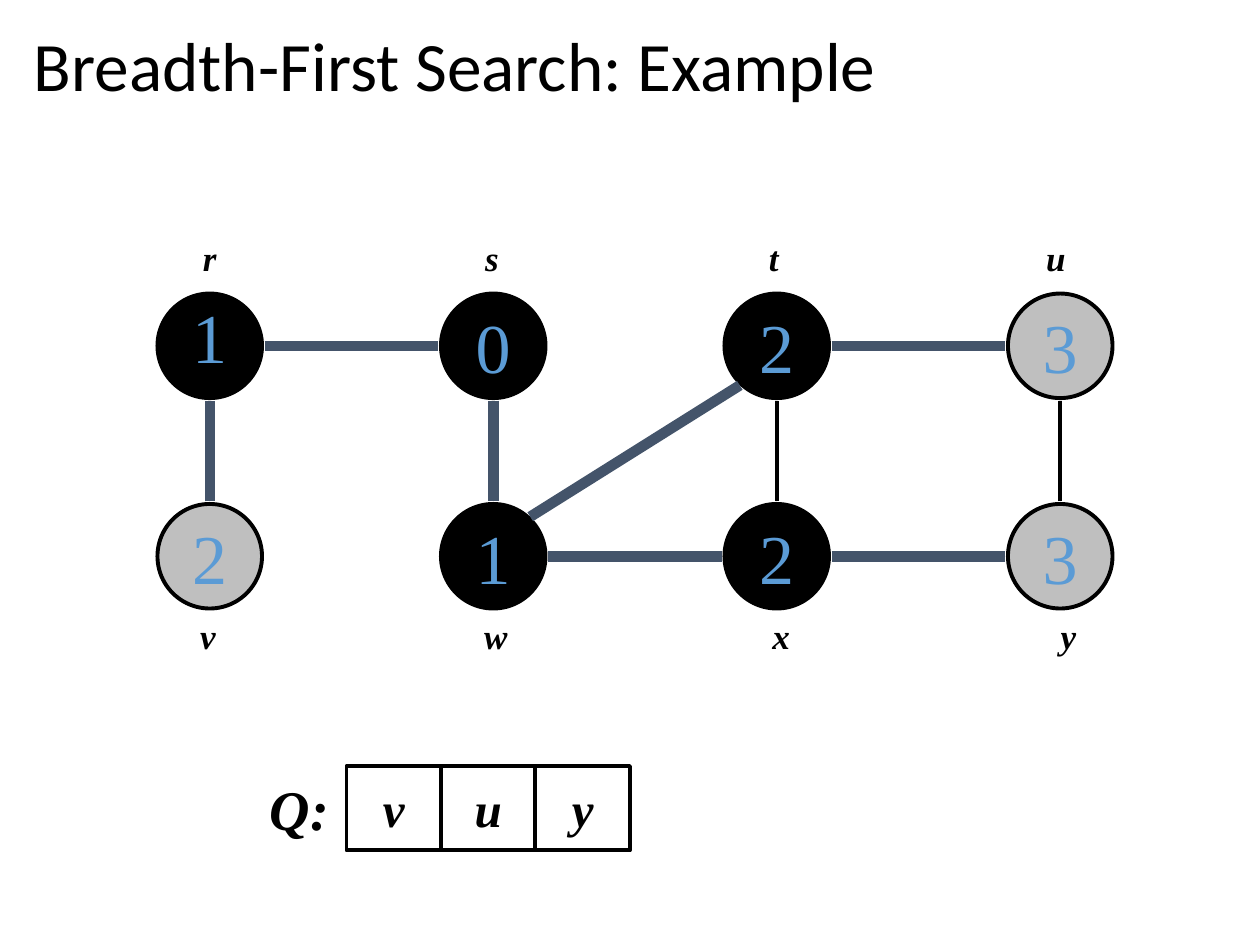
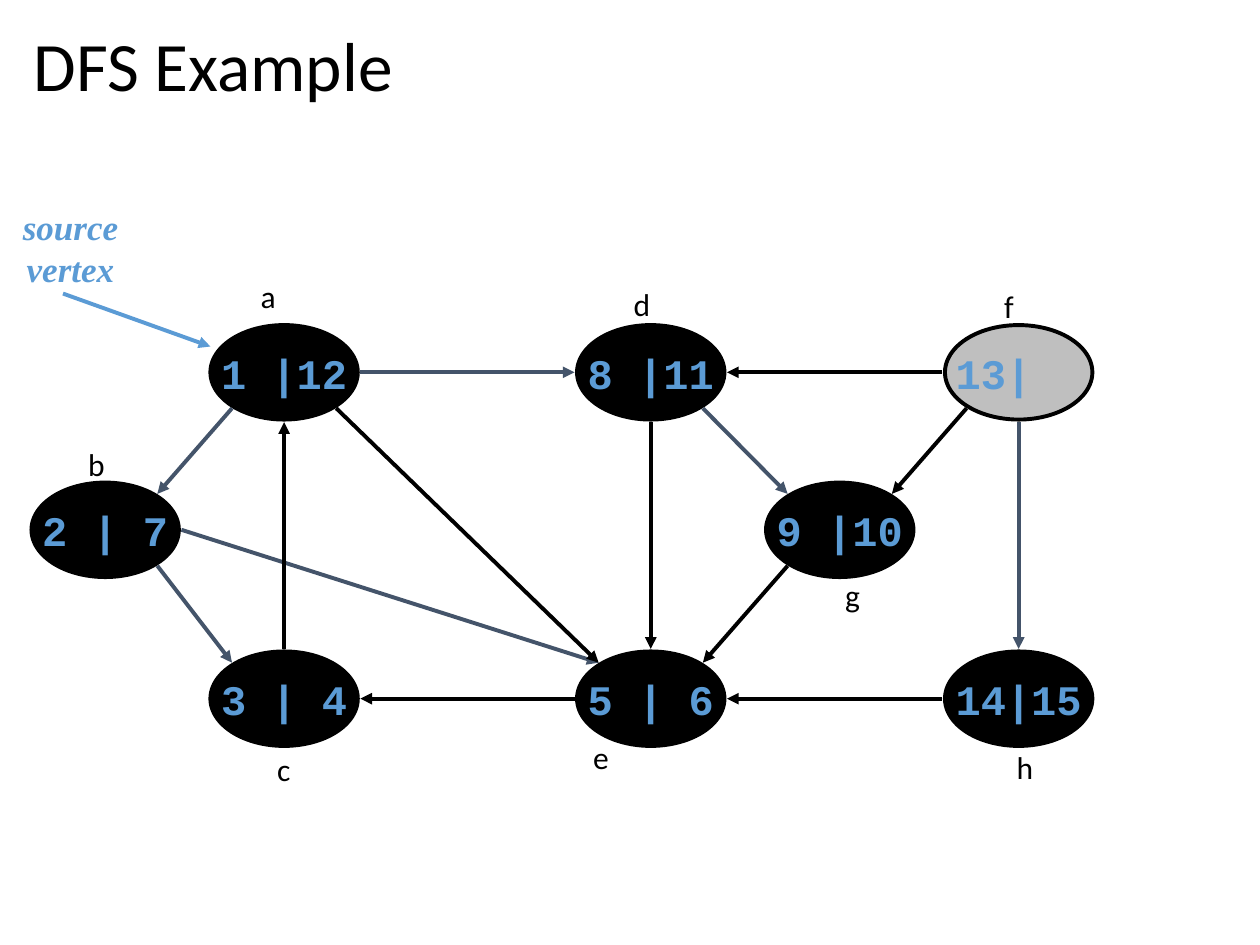
"""Build two graph search slides: a breadth-first and a depth-first example."""
from dataclasses import dataclass
from math import sqrt

from lxml import etree
from pptx import Presentation
from pptx import util as u
from pptx.dml.color import RGBColor
from pptx.enum import shapes, text
from pptx.oxml.ns import qn


@dataclass(frozen=True)
class Theme:
    ink: str = "000000"
    queued: str = "BFBFBF"
    accent: str = "5B9BD5"
    tree: str = "44546A"
    sans: str = "Calibri"
    serif: str = "Times New Roman"
    mono: str = "Courier New"
    title: float = 39.6
    distance: float = 40
    times: float = 24
    queue_name: float = 32
    queue_item: float = 28
    vertex: float = 20
    letter: float = 18
    thin: float = 2.25
    thick: float = 6


THEME = Theme()

BFS_TITLE = "Breadth-First Search: Example"
BFS_SIZE = (0.83, 0.83)
BFS_COLUMNS = (1.25, 3.5, 5.75, 8)
BFS_ROWS = (2.33, 4)
BFS_LABEL_TOPS = (1.83, 4.83)
# name: (column, row, distance, fill, label left, label width)
BFS_NODES = {
    "r": (0, 0, "1", THEME.ink, 1.51, 0.31),
    "v": (0, 1, "2", THEME.queued, 1.49, 0.32),
    "s": (1, 0, "0", THEME.ink, 3.75, 0.31),
    "w": (1, 1, "1", THEME.ink, 3.74, 0.39),
    "t": (2, 0, "2", THEME.ink, 6, 0.28),
    "x": (2, 1, "2", THEME.ink, 6.03, 0.34),
    "u": (3, 0, "3", THEME.queued, 8.2, 0.36),
    "y": (3, 1, "3", THEME.queued, 8.32, 0.32),
}
BFS_TREE_EDGES = (
    ("v", "n", "r", "s"), ("r", "e", "s", "w"), ("s", "s", "w", "n"),
    ("w", "ne", "t", "sw"), ("w", "e", "x", "w"), ("t", "e", "u", "w"),
    ("x", "e", "y", "w"),
)
BFS_OTHER_EDGES = (("x", "n", "t", "s"), ("y", "n", "u", "s"))
QUEUE = ("v", "u", "y")
QUEUE_LEFT, QUEUE_TOP = 2, 6.08
QUEUE_CELL = (0.75, 0.67)

DFS_TITLE = "DFS Example"
DFS_SIZE = (1.17, 0.75)
# name: (left, top, times, fill, label left, label top, label width)
DFS_NODES = {
    "a": (1.67, 2.58, "1 |12", THEME.ink, 1.97, 2.15, 1.02),
    "d": (4.58, 2.58, "8 |11", THEME.ink, 4.93, 2.21, 0.84),
    "f": (7.5, 2.58, "13|  ", THEME.queued, 7.87, 2.23, 0.69),
    "h": (7.5, 5.17, "14|15", THEME.ink, 7.97, 5.89, 0.69),
    "e": (4.58, 5.17, "5 | 6", THEME.ink, 4.61, 5.81, 1.69),
    "c": (1.67, 5.17, "3 | 4", THEME.ink, 2.1, 5.9, 1.31),
    "b": (0.25, 3.83, "2 | 7", THEME.ink, 0.6, 3.48, 0.52),
    "g": (6.08, 3.83, "9 |10", THEME.ink, 6.61, 4.52, 0.62),
}
DFS_TREE_EDGES = (
    ("a", "sw", "b", "ne"), ("b", "se", "c", "nw"), ("b", "e", "e", "nw"),
    ("a", "e", "d", "w"), ("d", "se", "g", "nw"), ("f", "s", "h", "n"),
)
DFS_OTHER_EDGES = (
    ("e", "w", "c", "e"), ("c", "n", "a", "s"), ("a", "se", "e", "nw"),
    ("d", "s", "e", "n"), ("f", "w", "d", "e"), ("f", "sw", "g", "ne"),
    ("h", "w", "e", "e"), ("g", "sw", "e", "ne"),
)
SOURCE = "source\nvertex"
SOURCE_BOX = (0.08, 1.58, 0.96, 0.77)
SOURCE_ARROW = ((0.5, 2.33), (1.67, 2.75))

EDGE_GAP = 0.02


def inches(values):
    return [u.Inches(value) for value in values]


def write(part, words, size, font, color=THEME.ink, bold=False, italic=False,
          centred=True, middle=True, wrap=False, spacing=None):
    frame = part.text_frame
    frame.word_wrap = wrap
    frame.vertical_anchor = text.MSO_ANCHOR.MIDDLE if middle else text.MSO_ANCHOR.TOP
    paragraph = frame.paragraphs[0]
    paragraph.text = words
    paragraph.alignment = text.PP_ALIGN.CENTER if centred else text.PP_ALIGN.LEFT
    if spacing:
        paragraph.line_spacing = spacing
    for run in paragraph.runs:
        run.font.size = u.Pt(size)
        run.font.name = font
        run.font.bold = bold
        run.font.italic = italic
        run.font.color.rgb = RGBColor.from_string(color)


def add_words(slide, box, words, size, font, grow=False, **style):
    part = slide.shapes.add_textbox(*inches(box))
    write(part, words, size, font, **style)
    if grow:
        part.text_frame.auto_size = text.MSO_AUTO_SIZE.SHAPE_TO_FIT_TEXT


def add_outlined(slide, kind, box, words, size, font, fill=None, **style):
    part = slide.shapes.add_shape(kind, *inches(box))
    part.shadow.inherit = False
    if fill:
        part.fill.solid()
        part.fill.fore_color.rgb = RGBColor.from_string(fill)
    else:
        part.fill.background()
    part.line.color.rgb = RGBColor.from_string(THEME.ink)
    part.line.width = u.Pt(THEME.thin)
    write(part, words, size, font, **style)


def add_line(slide, start, end, color, width=THEME.thin, arrow=False):
    line = slide.shapes.add_connector(shapes.MSO_CONNECTOR.STRAIGHT,
                                      *inches((*start, *end)))
    line.line.color.rgb = RGBColor.from_string(color)
    line.line.width = u.Pt(width)
    properties = line._element.spPr
    etree.SubElement(properties, qn("a:effectLst"))
    if arrow:
        etree.SubElement(properties.find(qn("a:ln")), qn("a:tailEnd"), type="triangle")


def rim_point(corner, size, compass):
    """Find the point just outside an ellipse in a compass direction."""
    across = ("e" in compass) - ("w" in compass)
    down = ("s" in compass) - ("n" in compass)
    reach = 1 / sqrt(len(compass))
    x = corner[0] + size[0] / 2 + across * size[0] / 2 * reach
    y = corner[1] + size[1] / 2 + down * (size[1] / 2 * reach + EDGE_GAP)
    return x + (across * EDGE_GAP if not down else 0), y


def add_edges(slide, edges, corners, size, color, **style):
    for origin, leaving, target, arriving in edges:
        add_line(slide, rim_point(corners[origin], size, leaving),
                 rim_point(corners[target], size, arriving), color, **style)


def add_slide(deck, title):
    slide = deck.slides.add_slide(deck.slide_layouts[6])
    add_words(slide, (0.17, 0.18, 9.62, 0.74), title, THEME.title, THEME.sans,
              centred=False, wrap=True, spacing=0.9)
    return slide


def build_bfs(deck):
    slide = add_slide(deck, BFS_TITLE)
    corners = {}
    for name, (column, row, distance, fill, left, width) in BFS_NODES.items():
        corners[name] = (BFS_COLUMNS[column], BFS_ROWS[row])
        add_outlined(slide, shapes.MSO_SHAPE.OVAL, (*corners[name], *BFS_SIZE),
                     distance, THEME.distance, THEME.serif, fill, color=THEME.accent,
                     spacing=0.7 if name == "r" else None)
        add_words(slide, (left, BFS_LABEL_TOPS[row], width, 0.43), name,
                  THEME.vertex, THEME.serif, grow=True, bold=True, italic=True,
                  middle=False)
    add_edges(slide, BFS_TREE_EDGES, corners, BFS_SIZE, THEME.tree, width=THEME.thick)
    add_edges(slide, BFS_OTHER_EDGES, corners, BFS_SIZE, THEME.ink)

    add_words(slide, (QUEUE_LEFT, QUEUE_TOP, *QUEUE_CELL), "Q:",
              THEME.queue_name, THEME.serif, bold=True, italic=True)
    for place, name in enumerate(QUEUE, 1):
        add_outlined(slide, shapes.MSO_SHAPE.RECTANGLE,
                     (QUEUE_LEFT + place * QUEUE_CELL[0], QUEUE_TOP, *QUEUE_CELL),
                     name, THEME.queue_item, THEME.serif, bold=True, italic=True)


def build_dfs(deck):
    slide = add_slide(deck, DFS_TITLE)
    corners = {name: node[:2] for name, node in DFS_NODES.items()}
    for left, top, times, fill, *_ in DFS_NODES.values():
        add_outlined(slide, shapes.MSO_SHAPE.OVAL, (left, top, *DFS_SIZE), times,
                     THEME.times, THEME.mono, fill, color=THEME.accent, bold=True)
    add_edges(slide, DFS_TREE_EDGES, corners, DFS_SIZE, THEME.tree, arrow=True)
    add_edges(slide, DFS_OTHER_EDGES, corners, DFS_SIZE, THEME.ink, arrow=True)
    add_line(slide, *SOURCE_ARROW, THEME.accent, arrow=True)
    add_words(slide, SOURCE_BOX, SOURCE, THEME.vertex, THEME.serif, grow=True,
              color=THEME.accent, bold=True, italic=True, middle=False)
    for name, (*_, left, top, width) in DFS_NODES.items():
        add_words(slide, (left, top, width, 0.4), name, THEME.letter, THEME.sans,
                  grow=True, centred=False, middle=False, wrap=True)


def main():
    deck = Presentation()
    deck.slide_width, deck.slide_height = inches((10, 7.5))
    build_bfs(deck)
    build_dfs(deck)
    deck.save("out.pptx")


if __name__ == "__main__":
    main()
